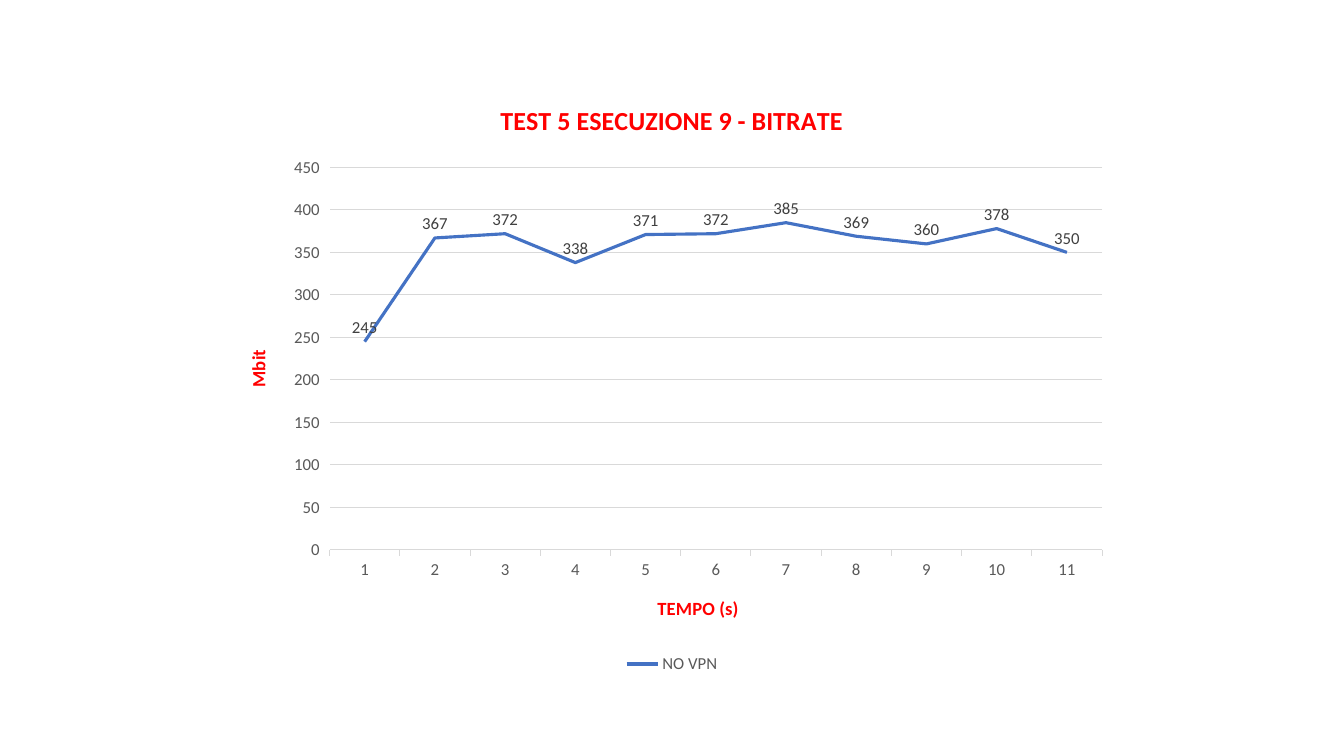
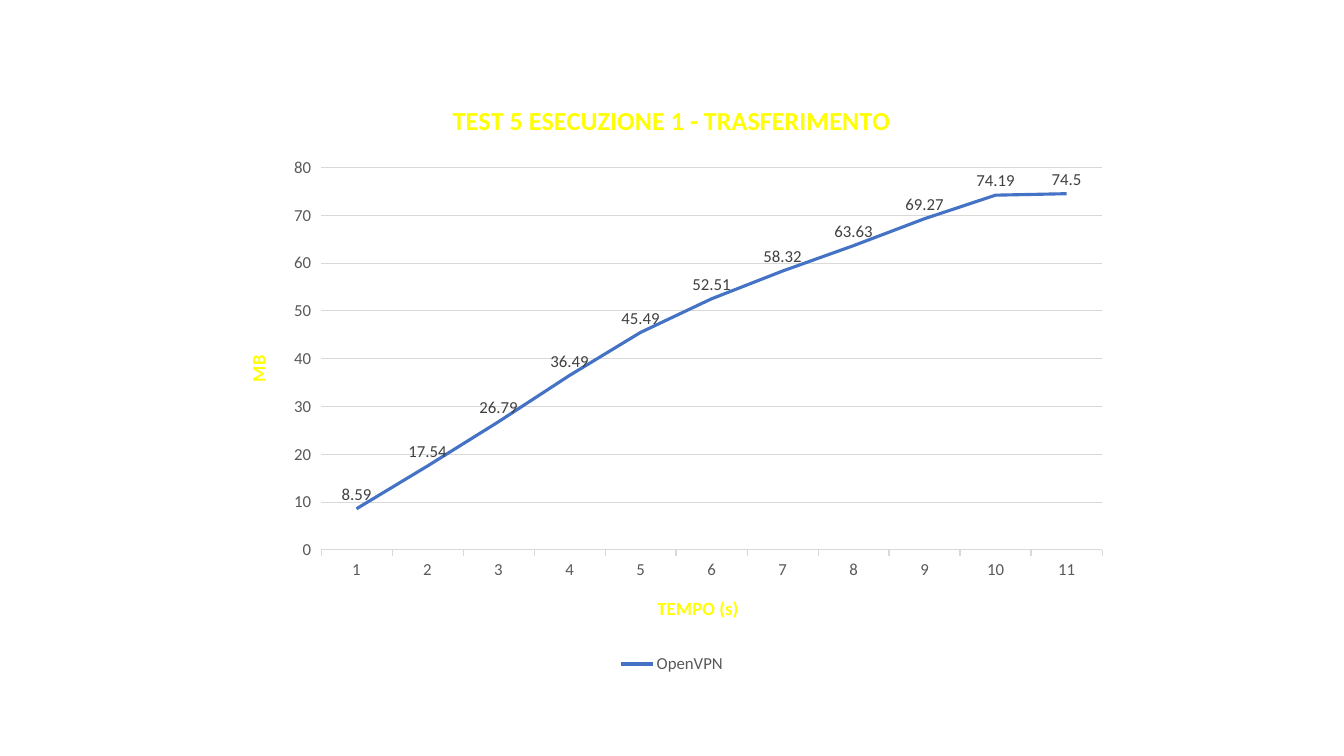
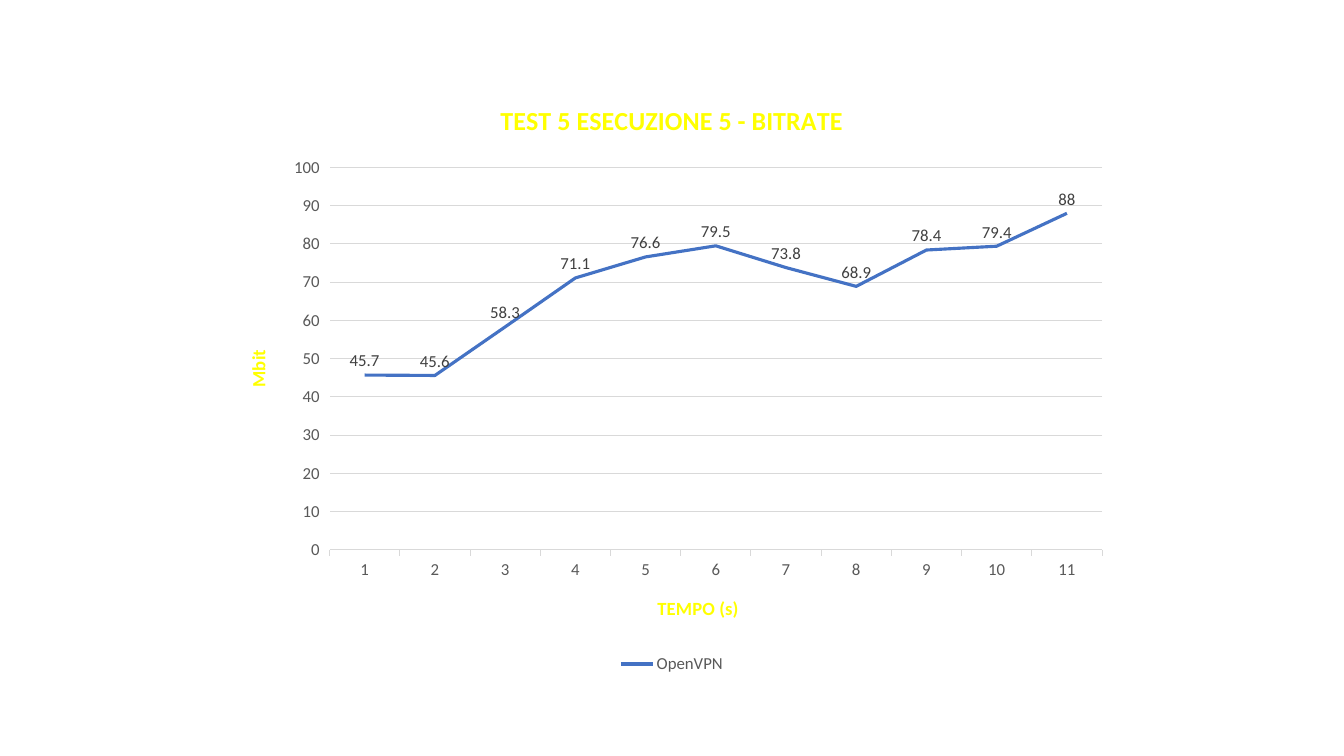
from pptx import Presentation
from pptx.chart.data import CategoryChartData
from pptx.dml.color import RGBColor
from pptx.enum.chart import XL_CHART_TYPE, XL_LABEL_POSITION, XL_LEGEND_POSITION, XL_TICK_MARK
from pptx.util import Pt

# Shared scale, colours and type
PX = 914400 / 100.8
FONT = "Calibri"
RED = RGBColor(0xFF, 0x00, 0x00)
YELLOW = RGBColor(0xFF, 0xFF, 0x00)
BLUE = RGBColor(0x44, 0x72, 0xC4)
BLACK = RGBColor(0x00, 0x00, 0x00)
AXIS_GREY = RGBColor(0x59, 0x59, 0x59)
LABEL_GREY = RGBColor(0x40, 0x40, 0x40)
GRID_GREY = RGBColor(0xD9, 0xD9, 0xD9)
TITLE_SIZE, AXIS_TITLE_SIZE, TEXT_SIZE = 18.6, 13.3, 12
SECONDS = range(1, 12)

# Title, unit, accent, series name, values
TESTS = [
    ("TEST 5 ESECUZIONE 9 - BITRATE", "Mbit", RED, "NO VPN",
     [245, 367, 372, 338, 371, 372, 385, 369, 360, 378, 350]),
    ("TEST 5 ESECUZIONE 1 - TRASFERIMENTO", "MB", YELLOW, "OpenVPN",
     [8.59, 17.54, 26.79, 36.49, 45.49, 52.51, 58.32, 63.63, 69.27, 74.19, 74.5]),
    ("TEST 5 ESECUZIONE 5 - BITRATE", "Mbit", YELLOW, "OpenVPN",
     [45.7, 45.6, 58.3, 71.1, 76.6, 79.5, 73.8, 68.9, 78.4, 79.4, 88]),
]


def style_font(font, size, color, bold=False):
    font.name = FONT
    font.size = Pt(size)
    font.bold = bold
    font.color.rgb = color


def style_line(line, color, width):
    line.color.rgb = color
    line.width = Pt(width)


prs = Presentation()
prs.slide_width, prs.slide_height = round(1344 * PX), round(756 * PX)

for title, unit, accent, connection, values in TESTS:
    slide = prs.slides.add_slide(prs.slide_layouts[6])

    # Measurements
    measurements = CategoryChartData()
    measurements.categories = [str(second) for second in SECONDS]
    measurements.add_series(connection, values)
    left, top, width, height = (round(n * PX) for n in (224, 80, 896, 598))
    chart = slide.shapes.add_chart(
        XL_CHART_TYPE.LINE, left, top, width, height, measurements).chart
    style_font(chart.font, 10, BLACK)

    # Titles of the chart and its axes
    time_axis, unit_axis = chart.category_axis, chart.value_axis
    for owner, text, size in [(chart, title, TITLE_SIZE),
                              (time_axis, "TEMPO (s)", AXIS_TITLE_SIZE),
                              (unit_axis, unit, AXIS_TITLE_SIZE)]:
        heading = owner.chart_title if owner is chart else owner.axis_title
        heading.text_frame.text = text
        style_font(heading.text_frame.paragraphs[0].runs[0].font, size, accent, True)
    chart.chart_title.include_in_layout = False

    # Axes and grid
    for axis in (time_axis, unit_axis):
        axis.major_tick_mark = XL_TICK_MARK.OUTSIDE
        axis.minor_tick_mark = XL_TICK_MARK.NONE
        style_font(axis.tick_labels.font, TEXT_SIZE, AXIS_GREY)
    style_line(time_axis.format.line, GRID_GREY, 0.75)
    unit_axis.format.line.fill.background()
    unit_axis.minimum_scale = 0
    style_line(unit_axis.major_gridlines.format.line, GRID_GREY, 0.75)

    # Legend
    chart.has_legend = True
    chart.legend.position = XL_LEGEND_POSITION.BOTTOM
    chart.legend.include_in_layout = False
    style_font(chart.legend.font, TEXT_SIZE, AXIS_GREY)

    # Curve and its value labels
    chart.plots[0].vary_by_categories = False
    curve = chart.plots[0].series[0]
    curve.smooth = False
    style_line(curve.format.line, BLUE, 2.25)
    labels = curve.data_labels
    labels.show_value = True
    labels.position = XL_LABEL_POSITION.ABOVE
    style_font(labels.font, TEXT_SIZE, LABEL_GREY)

prs.save("out.pptx")
